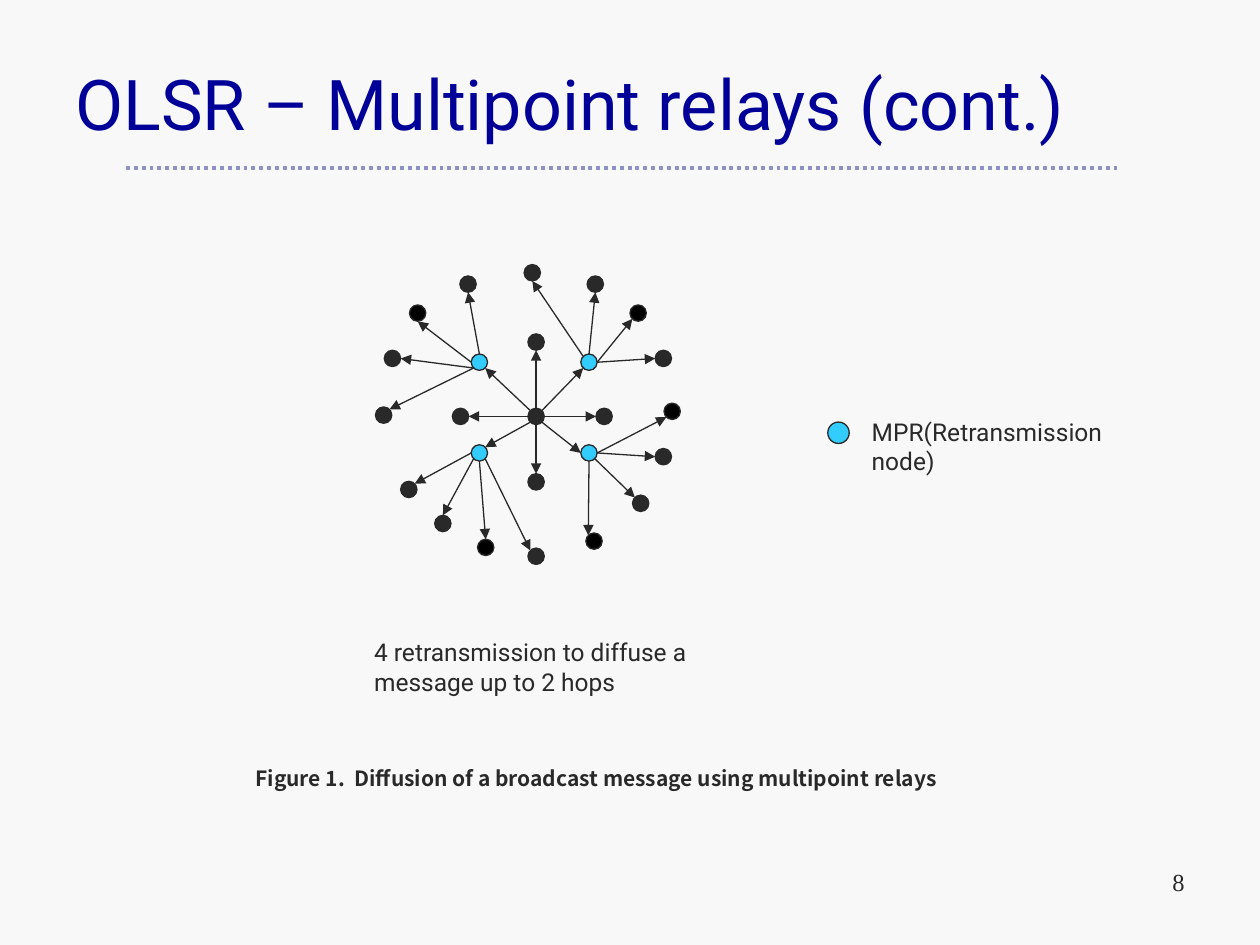
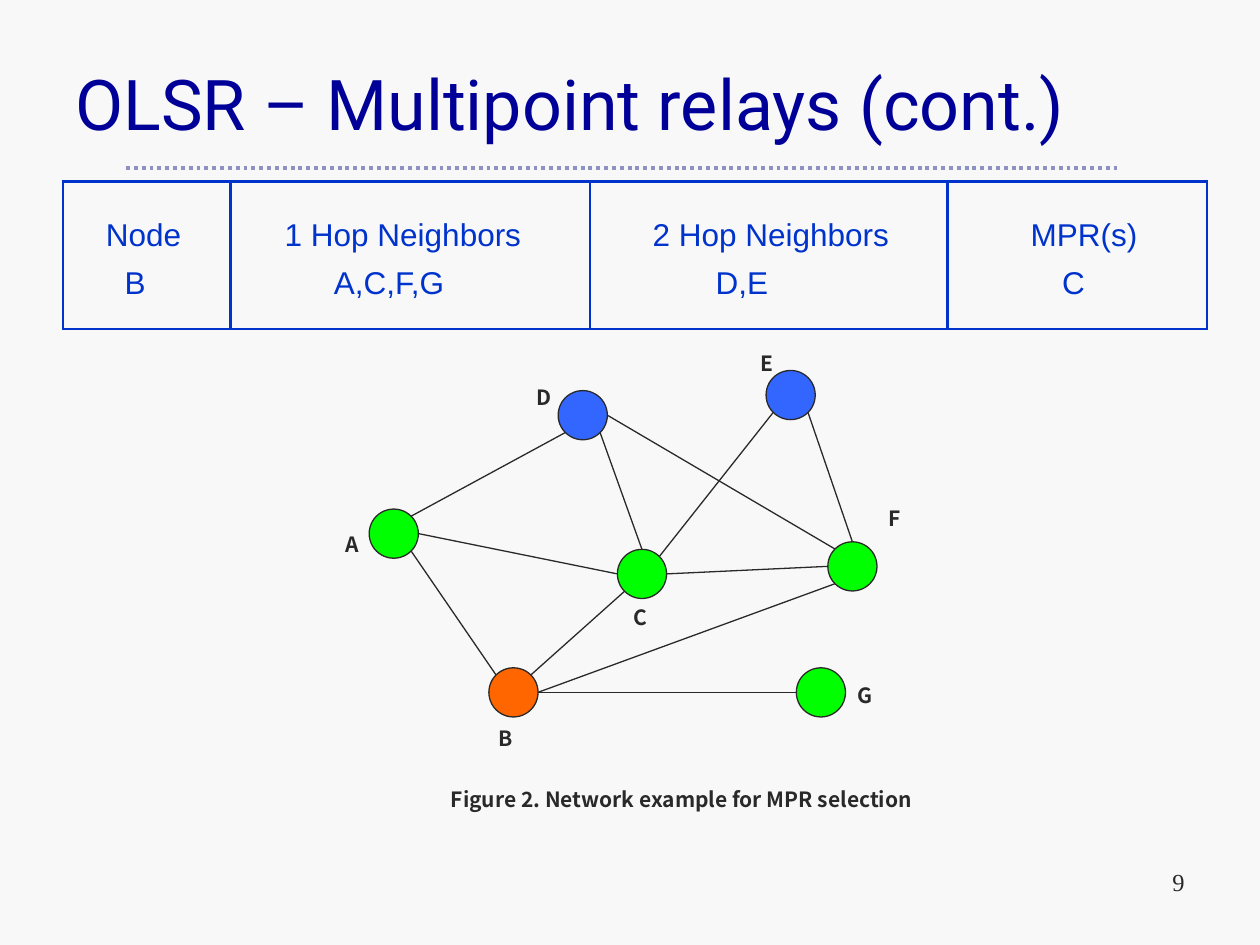
from math import sqrt
from typing import NamedTuple

from lxml import etree
from pptx import Presentation
from pptx import util as u
from pptx.dml.color import RGBColor
from pptx.enum import dml, shapes, text
from pptx.oxml.ns import qn

PAPER = RGBColor(0xF8, 0xF8, 0xF8)
INK = RGBColor(0x29, 0x29, 0x29)
BLACK = RGBColor(0x00, 0x00, 0x00)
NAVY = RGBColor(0x00, 0x00, 0x99)
RULE = RGBColor(0x8D, 0x92, 0xC3)
SKY = RGBColor(0x33, 0xCC, 0xFF)
GRID = RGBColor(0x00, 0x33, 0xCC)
BLUE = RGBColor(0x33, 0x66, 0xFF)
GREEN = RGBColor(0x00, 0xFF, 0x00)
ORANGE = RGBColor(0xFF, 0x66, 0x00)

TITLE = "OLSR – Multipoint relays (cont.)"
DIAG = sqrt(0.5)
SIDES = {
    "n": (0, -1), "s": (0, 1), "e": (1, 0), "w": (-1, 0),
    "ne": (DIAG, -DIAG), "nw": (-DIAG, -DIAG),
    "se": (DIAG, DIAG), "sw": (-DIAG, DIAG),
}


class Style(NamedTuple):
    face: str
    size: float
    color: RGBColor
    bold: bool = False
    before: float = 0


HEAD = Style("Roboto", 40, NAVY)
NOTE = Style("Roboto", 14, INK, before=8.8)
LABEL = Style("Noto Sans CJK KR", 12, INK, True, 7.5)
PAGE = Style("Times New Roman", 14, INK)
CELL = Style("Arial", 18, GRID)


class Node(NamedTuple):
    left: float
    top: float
    fill: RGBColor = INK


class Edge(NamedTuple):
    start: str
    leave: str
    end: str
    enter: str


class Label(NamedTuple):
    words: str
    left: float
    top: float
    width: float = 0.79
    height: float = 0.3


class Column(NamedTuple):
    width: float
    head: str
    indent: float
    value: str
    inset: float


RELAYS = {
    "hub": Node(4.19, 3.24),
    "up": Node(4.19, 2.65), "down": Node(4.19, 3.76),
    "left": Node(3.59, 3.24), "right": Node(4.73, 3.24),
    "NW": Node(3.74, 2.81, SKY), "NE": Node(4.61, 2.81, SKY),
    "SW": Node(3.74, 3.53, SKY), "SE": Node(4.61, 3.53, SKY),
    "nw1": Node(2.98, 3.23), "nw2": Node(3.05, 2.78),
    "nw3": Node(3.25, 2.42, BLACK), "nw4": Node(3.65, 2.19),
    "ne1": Node(4.16, 2.1), "ne2": Node(4.66, 2.19),
    "ne3": Node(5, 2.42, BLACK), "ne4": Node(5.2, 2.78),
    "se1": Node(5.27, 3.2, BLACK), "se2": Node(5.2, 3.56),
    "se3": Node(5.02, 3.93), "se4": Node(4.65, 4.23, BLACK),
    "sw1": Node(4.19, 4.35), "sw2": Node(3.79, 4.28, BLACK),
    "sw3": Node(3.45, 4.09), "sw4": Node(3.18, 3.82),
}
HOPS = [
    Edge("hub", "n", "up", "s"), Edge("hub", "s", "down", "n"),
    Edge("hub", "w", "left", "e"), Edge("hub", "e", "right", "w"),
    Edge("hub", "nw", "NW", "se"), Edge("hub", "ne", "NE", "sw"),
    Edge("hub", "sw", "SW", "ne"), Edge("hub", "se", "SE", "w"),
    Edge("NW", "sw", "nw1", "ne"), Edge("NW", "sw", "nw2", "e"),
    Edge("NW", "w", "nw3", "s"), Edge("NW", "n", "nw4", "s"),
    Edge("NE", "nw", "ne1", "s"), Edge("NE", "n", "ne2", "s"),
    Edge("NE", "e", "ne3", "sw"), Edge("NE", "e", "ne4", "w"),
    Edge("SE", "e", "se1", "sw"), Edge("SE", "e", "se2", "w"),
    Edge("SE", "se", "se3", "nw"), Edge("SE", "s", "se4", "nw"),
    Edge("SW", "se", "sw1", "nw"), Edge("SW", "s", "sw2", "n"),
    Edge("SW", "sw", "sw3", "n"), Edge("SW", "w", "sw4", "ne"),
]
PEERS = {
    "A": Node(2.93, 4.04, GREEN), "B": Node(3.88, 5.3, ORANGE),
    "C": Node(4.9, 4.36, GREEN), "D": Node(4.43, 3.1, BLUE),
    "E": Node(6.08, 2.94, BLUE), "F": Node(6.57, 4.3, GREEN),
    "G": Node(6.32, 5.3, GREEN),
}
LINKS = [
    Edge("B", "e", "G", "w"), Edge("A", "se", "B", "nw"),
    Edge("A", "ne", "D", "sw"), Edge("D", "se", "C", "n"),
    Edge("E", "se", "F", "n"), Edge("E", "sw", "C", "ne"),
    Edge("A", "e", "C", "w"), Edge("C", "e", "F", "w"),
    Edge("D", "e", "F", "nw"), Edge("B", "ne", "C", "sw"),
    Edge("B", "e", "F", "sw"),
]
NAMES = [
    Label("A", 2.64, 4.17), Label("B", 3.86, 5.71),
    Label("C", 4.93, 4.75), Label("D", 4.16, 3),
    Label("E", 5.94, 2.73), Label("F", 6.95, 3.96),
    Label("G", 6.71, 5.37),
    Label("Figure 2. Network example for MPR selection", 3.48, 6.19, 3.94),
]
COLUMNS = [
    Column(1.33, "Node", 0.34, "B", 0.49),
    Column(2.85, "1 Hop Neighbors", 0.43, "A,C,F,G", 0.82),
    Column(2.84, "2 Hop Neighbors", 0.5, "D,E", 1),
    Column(2.06, "MPR(s)", 0.66, "C", 0.91),
]


def write(frame, words: str, style: Style) -> None:
    frame.text = words
    para = frame.paragraphs[0]
    para.space_before = u.Pt(style.before)
    font = para.font
    font.name, font.size, font.bold = style.face, u.Pt(style.size), style.bold
    font.color.rgb = style.color


def put(slide, item: Label, style: Style, align=text.PP_ALIGN.LEFT) -> None:
    box = slide.shapes.add_textbox(*map(u.Inches, item[1:]))
    box.text_frame.word_wrap = True
    write(box.text_frame, item.words, style)
    box.text_frame.paragraphs[0].alignment = align


def draw_line(slide, start, end, color=INK, width=0.75, dash=None, arrow=False) -> None:
    line = slide.shapes.add_connector(
        shapes.MSO_CONNECTOR.STRAIGHT, *map(u.Inches, (*start, *end)))
    line.line.color.rgb = color
    line.line.width = u.Pt(width)
    if dash:
        line.line.dash_style = dash
    props = line._element.spPr
    if arrow:
        etree.SubElement(props.find(qn("a:ln")), qn("a:tailEnd"), type="triangle")
    etree.SubElement(props, qn("a:effectLst"))


def draw_node(slide, node: Node, size: float) -> None:
    dot = slide.shapes.add_shape(
        shapes.MSO_SHAPE.OVAL, *map(u.Inches, (node.left, node.top, size, size)))
    dot.shadow.inherit = False
    dot.fill.solid()
    dot.fill.fore_color.rgb = node.fill
    dot.line.color.rgb = INK
    dot.line.width = u.Pt(0.75)


def rim(node: Node, side: str, size: float) -> tuple[float, float]:
    half = size / 2
    across, down = SIDES[side]
    return node.left + half * (1 + across), node.top + half * (1 + down)


def draw_graph(slide, nodes: dict[str, Node], edges: list[Edge],
               size: float, arrow: bool) -> None:
    for node in nodes.values():
        draw_node(slide, node, size)
    for edge in edges:
        draw_line(slide, rim(nodes[edge.start], edge.leave, size),
                  rim(nodes[edge.end], edge.enter, size), arrow=arrow)


def set_edges(cell, shown: set[str]) -> None:
    props = cell._tc.get_or_add_tcPr()
    for spot, side in enumerate("LRTB"):
        line = etree.Element(qn(f"a:ln{side}"), w=str(u.Pt(1.5)))
        if side in shown:
            fill = etree.SubElement(line, qn("a:solidFill"))
            etree.SubElement(fill, qn("a:srgbClr"), val=str(GRID))
        else:
            etree.SubElement(line, qn("a:noFill"))
        props.insert(spot, line)


def fill_cell(cell, words: str, indent: float, shown: set[str], anchor) -> None:
    write(cell.text_frame, words, CELL)
    cell.vertical_anchor = anchor
    cell.margin_left = u.Inches(indent)
    cell.margin_right = 0
    cell.margin_top = cell.margin_bottom = u.Inches(0.05)
    cell.fill.background()
    set_edges(cell, shown)


def draw_table(slide) -> None:
    wide = sum(col.width for col in COLUMNS)
    table = slide.shapes.add_table(
        2, len(COLUMNS), *map(u.Inches, (0.5, 1.44, wide, 1.17))).table
    table.first_row = table.horz_banding = False
    for row, high in zip(table.rows, (0.62, 0.55)):
        row.height = u.Inches(high)
    for spot, col in enumerate(COLUMNS):
        table.columns[spot].width = u.Inches(col.width)
        fill_cell(table.cell(0, spot), col.head, col.indent, set("LRT"),
                  text.MSO_ANCHOR.BOTTOM)
        fill_cell(table.cell(1, spot), col.value, col.inset, set("LRB"),
                  text.MSO_ANCHOR.TOP)


def add_slide(deck, page: int):
    slide = deck.slides.add_slide(deck.slide_layouts[5])
    draw_line(slide, (1, 1.33), (8.88, 1.33), RULE, 2.25,
              dml.MSO_LINE.ROUND_DOT)
    title = slide.shapes.title
    title.left, title.top, title.width, title.height = map(
        u.Inches, (0.5, 0.3, 9, 1.03))
    frame = title.text_frame
    frame.auto_size = text.MSO_AUTO_SIZE.NONE
    frame.vertical_anchor = text.MSO_ANCHOR.MIDDLE
    write(frame, TITLE, HEAD)
    frame.paragraphs[0].alignment = text.PP_ALIGN.LEFT
    put(slide, Label(str(page), 7.17, 6.83, 2.33, 0.52), PAGE,
        text.PP_ALIGN.RIGHT)
    return slide


def add_relays(deck) -> None:
    slide = add_slide(deck, 8)
    draw_graph(slide, RELAYS, HOPS, 0.13, True)
    draw_node(slide, Node(6.57, 3.35, SKY), 0.17)
    put(slide, Label("MPR(Retransmission node)", 6.82, 3.26, 2.17, 0.57), NOTE)
    put(slide, Label("4 retransmission to diffuse a message up to 2 hops",
                     2.87, 5.01, 2.92, 0.57), NOTE)
    put(slide, Label("Figure 1.  Diffusion of a broadcast message using multipoint relays",
                     1.93, 6.03, 5.9), LABEL)


def add_choice(deck) -> None:
    slide = add_slide(deck, 9)
    draw_table(slide)
    draw_graph(slide, PEERS, LINKS, 0.39, False)
    for name in NAMES:
        put(slide, name, LABEL)


def main() -> None:
    deck = Presentation()
    deck.slide_width, deck.slide_height = u.Inches(10), u.Inches(7.5)
    back = deck.slide_master.background.fill
    back.solid()
    back.fore_color.rgb = PAPER
    add_relays(deck)
    add_choice(deck)
    deck.save("out.pptx")


if __name__ == "__main__":
    main()
